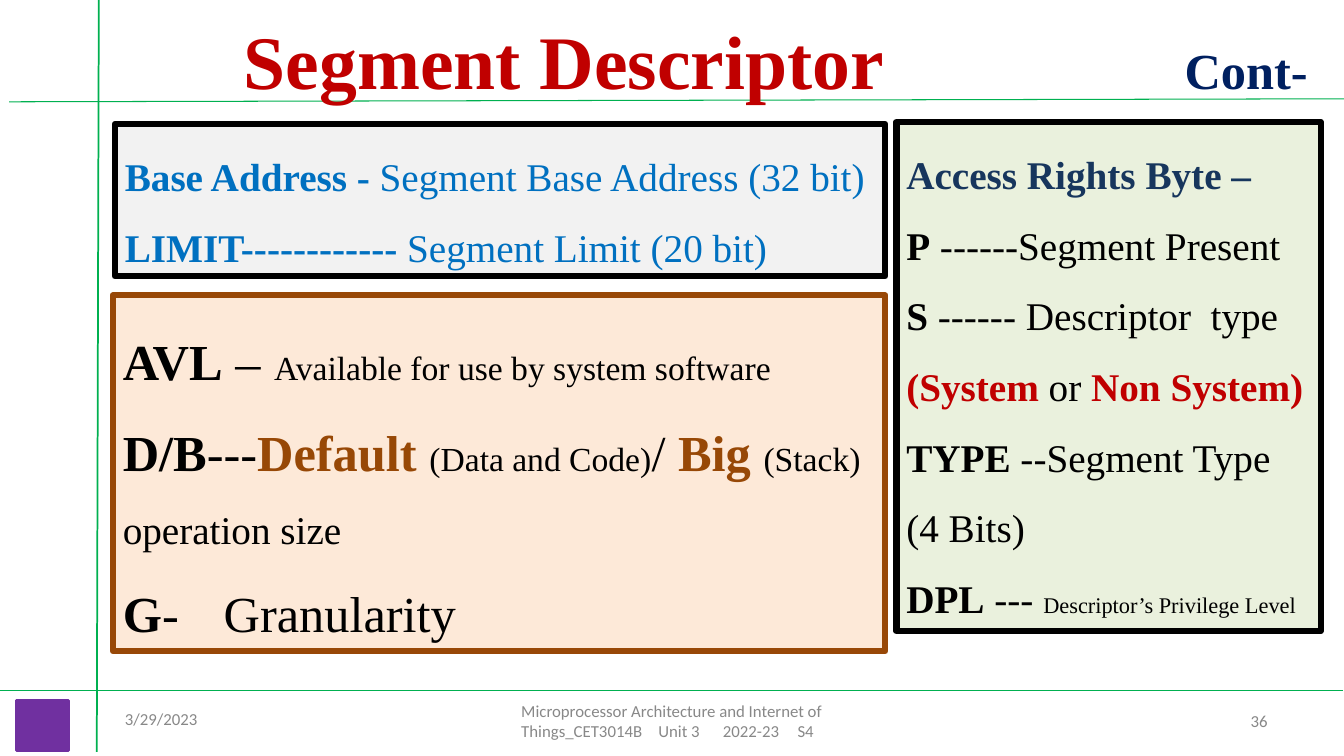
from pptx import Presentation
from pptx.dml.color import RGBColor
from pptx.enum.shapes import MSO_CONNECTOR, MSO_SHAPE
from pptx.enum.text import MSO_ANCHOR, PP_ALIGN
from pptx.oxml.ns import qn
from pptx.util import Emu, Pt
from lxml.etree import SubElement

PX = 9144  # one px is a hundredth of an inch
SERIF, SANS = "Times New Roman", "Calibri"
COLORS = {
    "black": "000000", "grey": "888888", "green": "00B050", "purple": "7030A0",
    "red": "C00000", "navy": "002060", "slate": "17365D", "blue": "0070C0",
    "brown": "984807", "rust": "974806",
    "pale green": "EAF1DD", "pale grey": "F2F2F2", "pale orange": "FDE9D8",
}


def px(length):
    return Emu(length * PX)


def rgb(name):
    return RGBColor.from_string(COLORS[name])


def add_tabs(paragraph, stops):
    tab_list = SubElement(paragraph._p.get_or_add_pPr(), qn("a:tabLst"))
    for stop in stops:
        SubElement(tab_list, qn("a:tab"), pos=str(px(stop)), algn="l")


def set_font(font, size=None, color=None, bold=None):
    if size:
        font.size = Pt(size)
    if color:
        font.color.rgb = rgb(color)
    if bold is not None:
        font.bold = bold


def add_runs(paragraph, runs):
    """Each run is its text and the font settings that differ from the paragraph."""
    for text, settings in runs:
        run = paragraph.add_run()
        run.text = text
        set_font(run.font, **settings)


def add_line(slide, start, end, width):
    line = slide.shapes.add_connector(
        MSO_CONNECTOR.STRAIGHT, *(px(length) for length in start + end))
    line.line.color.rgb = rgb("green")
    line.line.width = Pt(width)
    SubElement(line._element.spPr, qn("a:effectLst"))


def add_box(slide, box, fill, outline, width):
    shape = slide.shapes.add_shape(
        MSO_SHAPE.RECTANGLE, *(px(length) for length in box))
    shape.shadow.inherit = False
    shape.fill.solid()
    shape.fill.fore_color.rgb = rgb(fill)
    shape.line.color.rgb = rgb(outline)
    shape.line.width = Pt(width)
    return shape


def add_text(slide, box, anchor=MSO_ANCHOR.TOP):
    frame = slide.shapes.add_textbox(*(px(length) for length in box)).text_frame
    frame.word_wrap = True
    frame.vertical_anchor = anchor
    return frame


def add_panel(slide, box, fill, outline, size, color, paragraphs):
    frame = add_box(slide, box, fill, outline, 4.5).text_frame
    frame.word_wrap = True
    frame.vertical_anchor = MSO_ANCHOR.TOP
    for index, runs in enumerate(paragraphs):
        paragraph = frame.add_paragraph() if index else frame.paragraphs[0]
        paragraph.alignment = PP_ALIGN.LEFT
        paragraph.line_spacing = 1.5
        paragraph.font.name = SERIF
        set_font(paragraph.font, size, color)
        add_runs(paragraph, runs)


def add_title(slide, box):
    paragraph = add_text(slide, box).paragraphs[0]
    add_tabs(paragraph, [933])
    paragraph.font.name = SERIF
    paragraph.font.bold = True
    add_runs(paragraph, [
        ("Segment Descriptor\t", {"size": 54, "color": "red"}),
        ("Cont-", {"size": 36, "color": "navy"}),
    ])


def add_footer(slide, box):
    left, top, width, height = box
    course = ("Microprocessor Architecture and Internet of "
              "Things_CET3014B\tUnit 3\t2022-23\tS4")
    parts = [
        ("3/29/2023", (left, top, 311, height), PP_ALIGN.LEFT, 10, []),
        (course, (left + 342, top + 2, 422, height), PP_ALIGN.LEFT, 61, [136, 200, 274]),
        ("36", (left + width - 311, top + 2, 311, height), PP_ALIGN.RIGHT, 10, []),
    ]
    for text, part_box, alignment, inset, stops in parts:
        frame = add_text(slide, part_box, MSO_ANCHOR.MIDDLE)
        frame.margin_left = px(inset)
        paragraph = frame.paragraphs[0]
        paragraph.text = text
        paragraph.alignment = alignment
        if stops:
            add_tabs(paragraph, stops)
        paragraph.font.name = SANS
        set_font(paragraph.font, 12, "grey")


def add_frame(slide):
    add_line(slide, (9, 101), (1342, 98), 0.75)
    add_line(slide, (98, 0), (96, 746), 1.25)
    add_line(slide, (-1, 685), (1332, 685), 1.25)
    add_box(slide, (16, 695, 52, 50), "purple", "purple", 2)


def add_panels(slide):
    bold, plain = {"bold": True}, {"bold": False}
    small = {"size": 24}
    red, rust = {"color": "red", "bold": True}, {"color": "rust", "bold": True}

    # Access rights
    add_panel(slide, (889, 121, 421, 505), "pale green", "black", 28, "black", [
        [("Access Rights Byte –", {"color": "slate", "bold": True})],
        [("P", bold), (" ------Segment Present", plain)],
        [("S", bold), (" ------ Descriptor  type ", plain), ("(System ", red),
         ("or ", plain), ("Non System)", red)],
        [("TYPE", bold), (" --Segment Type (4 Bits)", plain)],
        [("DPL", bold), (" --- ", plain), ("Descriptor’s Privilege Level", {"size": 16})],
    ])

    # Base address and limit
    add_panel(slide, (114, 123, 764, 151), "pale grey", "black", 28, "blue", [
        [("Base Address - ", bold), ("Segment Base Address (32 bit)", plain)],
        [("LIMIT------------", bold), (" Segment Limit (20 bit)", plain)],
    ])

    # Flags
    add_panel(slide, (112, 293, 766, 353), "pale orange", "brown", 36, "black", [
        [("AVL", bold), (" – \t", plain), ("Available for use by system software", small)],
        [("D/B", bold), ("---", plain), ("Default ", rust), ("(Data and Code)", small),
         ("/ ", plain), ("Big ", rust), ("(Stack) ", small),
         ("operation size", {"size": 28})],
        [("G", bold), ("- \tGranularity", plain)],
    ])


def main():
    presentation = Presentation()
    presentation.slide_width, presentation.slide_height = px(1333), px(750)
    slide = presentation.slides.add_slide(presentation.slide_layouts[6])
    add_footer(slide, (114, 693, 1153, 40))
    add_frame(slide)
    add_panels(slide)
    add_title(slide, (232, 9, 1088, 101))
    presentation.save("out.pptx")


if __name__ == "__main__":
    main()
